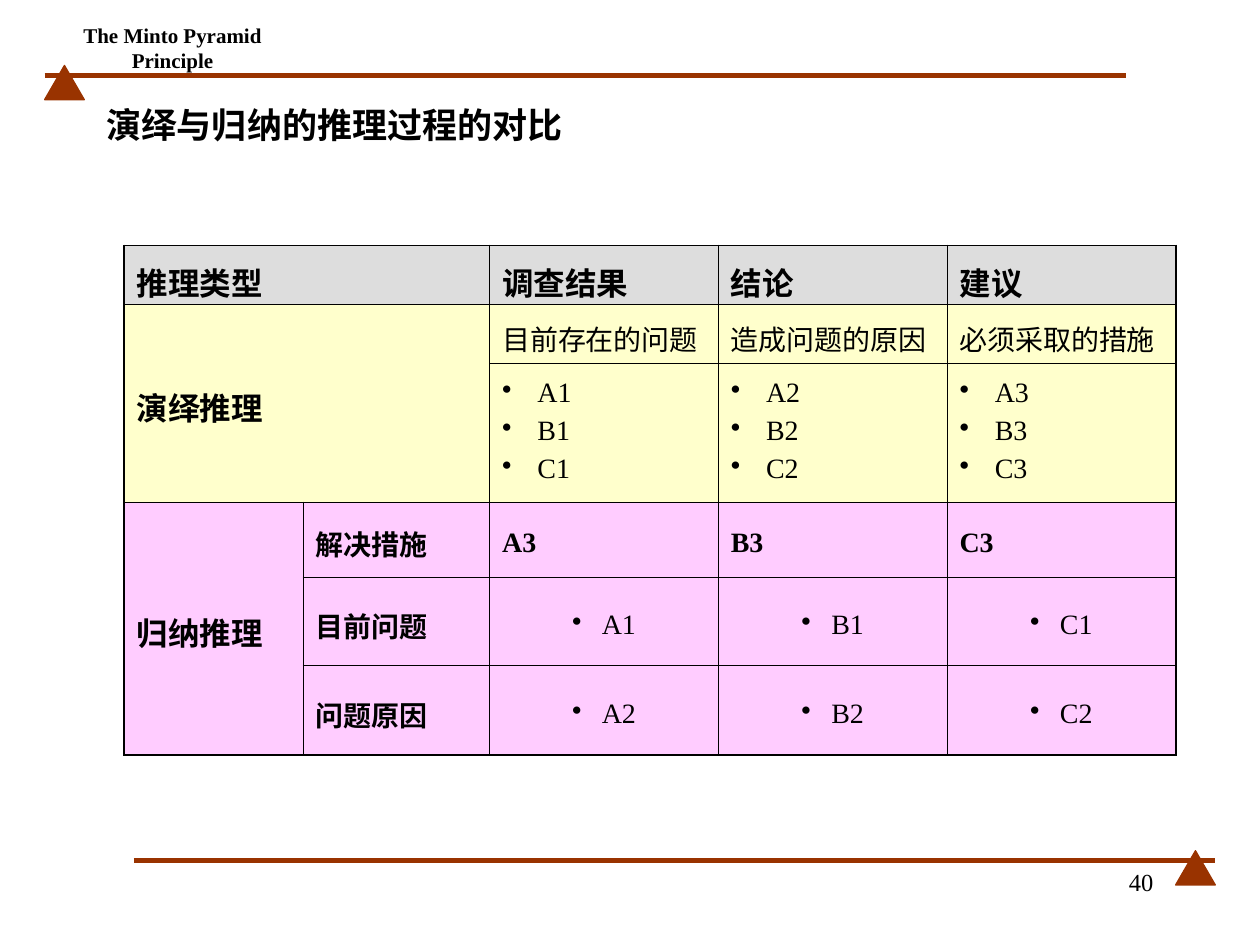
"""Build the slide comparing deductive and inductive reasoning."""
from dataclasses import dataclass
from typing import Any

from lxml.etree import SubElement
from pptx import Presentation
from pptx.dml.color import RGBColor
from pptx.enum.shapes import MSO_CONNECTOR, MSO_SHAPE
from pptx.enum.text import MSO_ANCHOR, PP_ALIGN
from pptx.oxml.ns import qn
from pptx.util import Cm, Pt

BLACK = RGBColor(0x00, 0x00, 0x00)
BROWN = RGBColor(0x99, 0x33, 0x00)
GRAY = RGBColor(0xDD, 0xDD, 0xDD)
YELLOW = RGBColor(0xFF, 0xFF, 0xCC)
PINK = RGBColor(0xFF, 0xCC, 0xFF)
FONT = "Times New Roman"
THIN, THICK = Pt(0.45), Pt(1.08)
COLS = (3.61, 3.76, 4.61, 4.61, 4.61)
ROWS = (1.19, 1.19, 2.79, 1.52, 1.78, 1.8)
ROW_FILLS = (GRAY, YELLOW, YELLOW, PINK, PINK, PINK)
MERGES = (((0, 0), (0, 1)), ((1, 0), (2, 1)), ((3, 0), (5, 0)))


@dataclass(frozen=True)
class Style:
    size: float
    bold: bool = False
    align: Any = PP_ALIGN.LEFT
    anchor: Any = MSO_ANCHOR.MIDDLE
    indent: float = 0


@dataclass(frozen=True)
class Rule:
    x1: float
    x2: float
    y: float
    triangle_x: float


@dataclass(frozen=True)
class Entries:
    row: int
    col: int
    style: Style
    texts: tuple[str, ...]


HEAD = Style(18, True)
LABEL = Style(16, True)
BODY = Style(16, anchor=MSO_ANCHOR.TOP)
LIST = Style(16, anchor=MSO_ANCHOR.TOP, indent=0.71)
POINT = Style(16, align=PP_ALIGN.CENTER, indent=0.6)
RULES = (Rule(0.9, 22.7, 1.52, 0.9), Rule(2.7, 24.5, 17.35, 23.7))
CONTENT = (
    Entries(0, 0, HEAD, ("推理类型",)),
    Entries(0, 2, HEAD, ("调查结果", "结论", "建议")),
    Entries(1, 0, HEAD, ("演绎推理",)),
    Entries(1, 2, BODY, ("目前存在的问题", "造成问题的原因", "必须采取的措施")),
    Entries(2, 2, LIST, ("A1\nB1\nC1", "A2\nB2\nC2", "A3\nB3\nC3")),
    Entries(3, 0, HEAD, ("归纳推理",)),
    Entries(3, 1, LABEL, ("解决措施", "A3", "B3", "C3")),
    Entries(4, 1, LABEL, ("目前问题",)),
    Entries(4, 2, POINT, ("A1", "B1", "C1")),
    Entries(5, 1, LABEL, ("问题原因",)),
    Entries(5, 2, POINT, ("A2", "B2", "C2")),
)


def write(tf: Any, text: str, style: Style) -> None:
    for i, line in enumerate(text.split("\n")):
        p = tf.paragraphs[0] if i == 0 else tf.add_paragraph()
        p.alignment = style.align
        p.space_before = Pt(4 if i else 0)
        if style.indent:
            pPr = p._p.get_or_add_pPr()
            pPr.set("marL", str(Cm(style.indent)))
            pPr.set("indent", str(-Cm(style.indent)))
            SubElement(pPr, qn("a:buChar"), char="•")
        r = p.add_run()
        r.text = line
        r.font.color.rgb = BLACK
        for name, value in {"name": FONT, "size": Pt(style.size), "bold": style.bold}.items():
            setattr(r.font, name, value)


def place(sp: Any, left: float, top: float, width: float, height: float) -> None:
    box = {"left": left, "top": top, "width": width, "height": height}
    for name, value in box.items():
        setattr(sp, name, Cm(value))


def add_text(s: Any, box: tuple[float, ...], text: str, style: Style, wrap: bool) -> None:
    sp = s.shapes.add_textbox(*map(Cm, box))
    tf = sp.text_frame
    tf.word_wrap = wrap
    tf.vertical_anchor = style.anchor
    write(tf, text, style)


def add_rule(s: Any, rule: Rule) -> None:
    line = s.shapes.add_connector(
        MSO_CONNECTOR.STRAIGHT, Cm(rule.x1), Cm(rule.y), Cm(rule.x2), Cm(rule.y))
    line.line.color.rgb = BROWN
    line.line.width = Pt(3)
    SubElement(line._element.spPr, qn("a:effectLst"))
    sp = s.shapes.add_shape(
        MSO_SHAPE.ISOSCELES_TRIANGLE, Cm(rule.triangle_x), Cm(rule.y - 0.2), Cm(0.8), Cm(0.69))
    sp.shadow.inherit = False
    sp.fill.solid()
    sp.fill.fore_color.rgb = BROWN
    sp.line.color.rgb = BROWN
    sp.line.width = Pt(0.75)


def add_borders(cell: Any, row: int, col: int) -> None:
    outer = {
        "L": col == 0,
        "R": col + cell.span_width == len(COLS),
        "T": row == 0,
        "B": row + cell.span_height == len(ROWS),
    }
    tcPr = cell._tc.get_or_add_tcPr()
    for side, thick in outer.items():
        ln = SubElement(tcPr, qn(f"a:ln{side}"), w=str(THICK if thick else THIN))
        SubElement(SubElement(ln, qn("a:solidFill")), qn("a:srgbClr"), val=str(BLACK))


def add_reasoning_table(s: Any) -> None:
    sp = s.shapes.add_table(
        len(ROWS), len(COLS), Cm(2.5), Cm(4.95), Cm(sum(COLS)), Cm(sum(ROWS)))
    table = sp.table
    for column, width in zip(table.columns, COLS):
        column.width = Cm(width)
    for row, height in zip(table.rows, ROWS):
        row.height = Cm(height)
    for first, last in MERGES:
        table.cell(*first).merge(table.cell(*last))
    for row, color in enumerate(ROW_FILLS):
        for col in range(len(COLS)):
            cell = table.cell(row, col)
            if not cell.is_spanned:
                add_borders(cell, row, col)
            cell.fill.solid()
            cell.fill.fore_color.rgb = color
    for entries in CONTENT:
        for col, text in enumerate(entries.texts, entries.col):
            cell = table.cell(entries.row, col)
            cell.vertical_anchor = entries.style.anchor
            cell.margin_top = Cm(0.27)
            write(cell.text_frame, text, entries.style)


def main() -> None:
    prs = Presentation()
    prs.slide_width, prs.slide_height = Cm(25.4), Cm(19.05)
    s = prs.slides.add_slide(prs.slide_layouts[5])
    for rule in RULES:
        add_rule(s, rule)
    add_text(s, (0.58, 0.61, 5.8, 0.71), "The Minto Pyramid Principle",
             Style(12, True, PP_ALIGN.CENTER), False)
    add_text(s, (18.2, 17.35, 5.3, 1.27), "40",
             Style(14, align=PP_ALIGN.RIGHT, anchor=MSO_ANCHOR.TOP), True)
    title = s.shapes.title
    place(title, 1.9, 1.7, 22.2, 1.63)
    title.text_frame.vertical_anchor = MSO_ANCHOR.MIDDLE
    write(title.text_frame, "演绎与归纳的推理过程的对比", Style(20, True))
    add_reasoning_table(s)
    prs.save("out.pptx")


if __name__ == "__main__":
    main()
